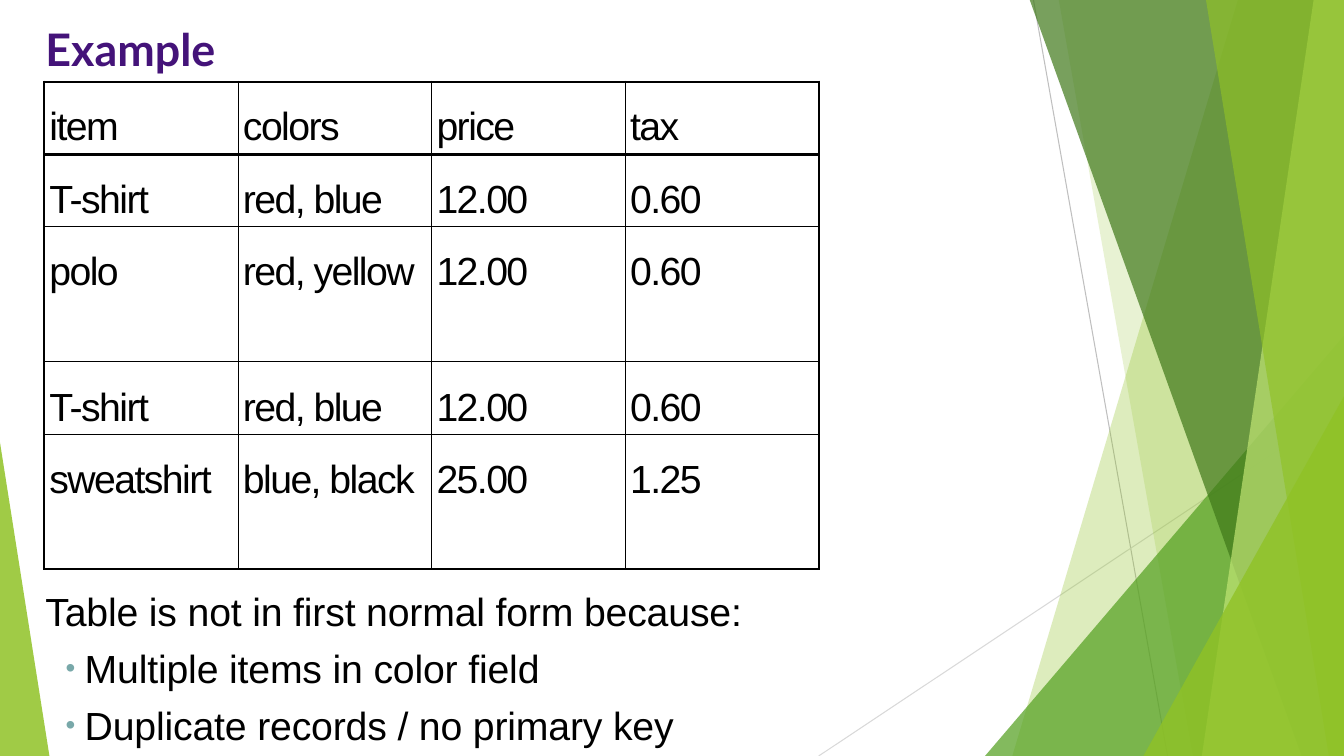
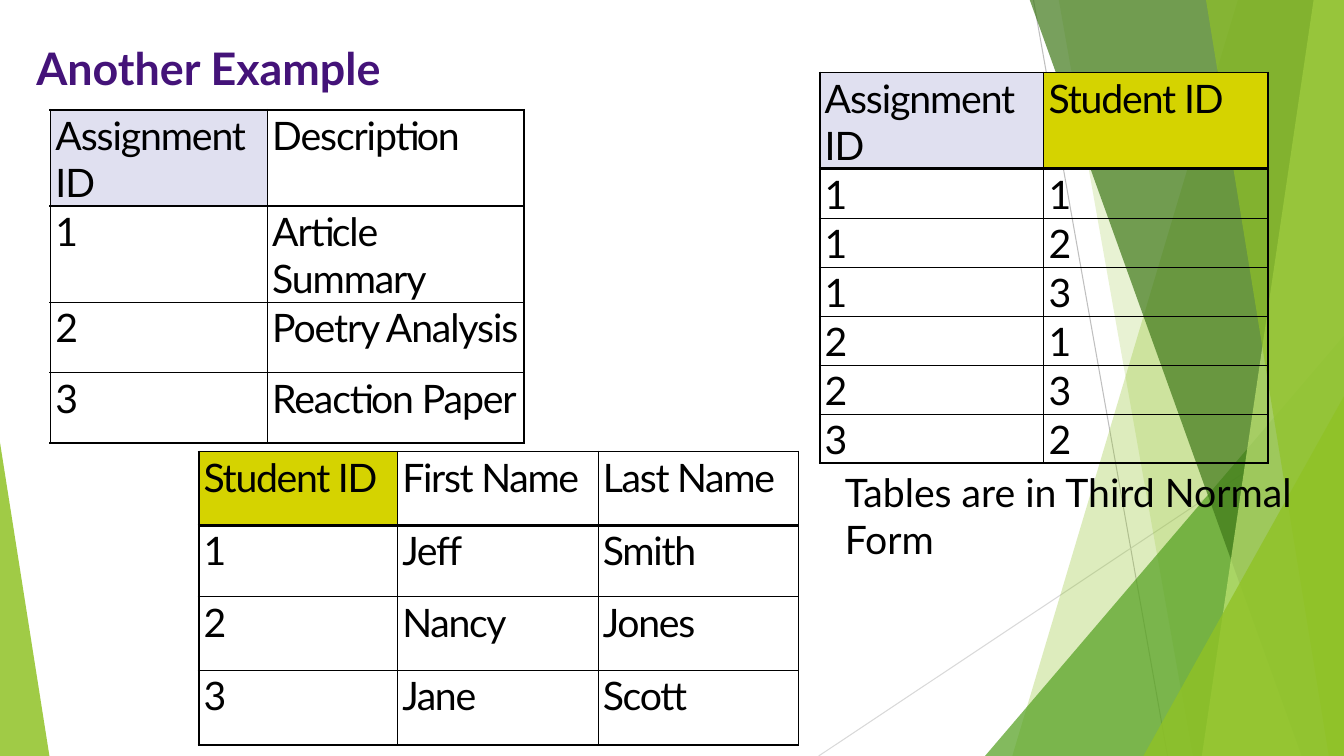
from dataclasses import dataclass

from lxml.etree import SubElement
from pptx import Presentation
from pptx.dml.color import RGBColor
from pptx.enum.shapes import MSO_CONNECTOR, MSO_SHAPE
from pptx.enum.text import MSO_ANCHOR, MSO_AUTO_SIZE, PP_ALIGN
from pptx.oxml.ns import qn
from pptx.util import Inches, Pt


@dataclass(frozen=True)
class Theme:
    width: float = 13.33
    height: float = 7.5
    heading: str = "Lato"
    plain: str = "Arial"
    title_size: int = 32
    text_size: int = 28
    title: str = "441379"
    text: str = "000000"
    bullet: str = "78A8A9"
    lime: str = "90C226"
    leaf: str = "54A021"
    forest: str = "3F7819"
    pale: str = "C0E474"
    thin: float = 0.5
    edge: float = 1.5
    header_rule: float = 2.25


T = Theme()
KEY_FILLS = {"Assignment ID": "E0E0F0", "Student ID": "D5D300"}


# Formatting helpers
def rgb(color):
    return RGBColor.from_string(color)


def apply(target, values):
    for name, value in values.items():
        setattr(target, name, value)


def write(p, text, font, size=T.text_size, color=T.text, bold=False, spacing=0):
    r = p.add_run()
    r.text = text
    apply(r.font, {"name": font, "size": Pt(size), "bold": bold})
    r.font.color.rgb = rgb(color)
    if spacing:
        r._r.get_or_add_rPr().set("spc", str(round(spacing * 100)))


def place(shape, left, top, width, height):
    apply(shape, {"left": Inches(left), "top": Inches(top),
                  "width": Inches(width), "height": Inches(height)})


def set_frame(tf, top_inset):
    apply(tf, {"word_wrap": True, "auto_size": MSO_AUTO_SIZE.NONE,
               "vertical_anchor": MSO_ANCHOR.TOP, "margin_left": 0,
               "margin_right": 0, "margin_bottom": 0,
               "margin_top": Inches(top_inset)})


def set_bullet(p, char=None, indent=0.0, hang=0.0):
    pPr = p._p.get_or_add_pPr()
    pPr.set("marL", str(Inches(indent)))
    pPr.set("indent", str(Inches(-hang)))
    if char is None:
        SubElement(pPr, qn("a:buNone"))
        return
    SubElement(SubElement(pPr, qn("a:buClr")), qn("a:srgbClr"), val=T.bullet)
    SubElement(pPr, qn("a:buSzPct"), val="71000")
    SubElement(pPr, qn("a:buFont"), typeface=T.plain)
    SubElement(pPr, qn("a:buChar"), char=char)


# Background facets
def paint(shape, color, opacity):
    shape.shadow.inherit = False
    shape.fill.solid()
    shape.fill.fore_color.rgb = rgb(color)
    shape.line.fill.background()
    clr = shape._element.spPr.find(qn("a:solidFill")).find(qn("a:srgbClr"))
    SubElement(clr, qn("a:alpha"), val=str(opacity * 1000))


def add_hairline(shapes, x1, y1, x2, y2, color):
    line = shapes.add_connector(MSO_CONNECTOR.STRAIGHT, Inches(x1), Inches(y1),
                                Inches(x2), Inches(y2))
    line.line.color.rgb = rgb(color)
    line.line.width = Pt(0.75)
    SubElement(line._element.spPr, qn("a:effectLst"))


def add_facet(shapes, top_x, bottom_x, color, opacity):
    """A panel reaching the right edge, slanted on its left side."""
    top, bottom, right = Inches(-0.01), Inches(T.height), Inches(T.width)
    builder = shapes.build_freeform(Inches(top_x), top)
    builder.add_line_segments([(right, top), (right, bottom),
                               (Inches(bottom_x), bottom)], close=True)
    paint(builder.convert_to_shape(), color, opacity)


def add_corner(shapes, left, width, height, apex, color, opacity):
    """A right triangle standing on the bottom edge."""
    corner = shapes.add_shape(MSO_SHAPE.ISOSCELES_TRIANGLE, Inches(left),
                              Inches(T.height - height), Inches(width), Inches(height))
    corner.adjustments[0] = apex
    paint(corner, color, opacity)


def move_to_master(prs, group):
    for number, props in enumerate(group._element.iter(qn("p:cNvPr")), 100):
        props.set("id", str(number))
    prs.slide_master.shapes._spTree.insert(2, group._element)


def add_background(prs, s):
    group = s.shapes.add_group_shape()
    shapes = group.shapes
    add_hairline(shapes, 10.25, 0, 11.58, T.height, "BFBFBF")
    add_hairline(shapes, T.width, 4.03, 8.12, T.height, "D9D9D9")
    add_facet(shapes, 12.28, 10.04, T.lime, 30)
    add_facet(shapes, 10.5, 11.83, T.lime, 20)
    add_corner(shapes, 9.77, 3.56, 4.17, 1, T.leaf, 72)
    add_facet(shapes, 10.21, 12.91, T.forest, 70)
    add_facet(shapes, 13.03, 11.92, T.pale, 70)
    add_facet(shapes, 11.96, 13.18, T.lime, 65)
    add_corner(shapes, 11.34, 1.99, 3.57, 1, T.lime, 80)
    add_corner(shapes, 0, 0.49, 3.11, 0, T.lime, 85)
    move_to_master(prs, group)


# Slide content
def add_title(s, text, left, top, width):
    title = s.shapes.title
    place(title, left, top, width, 0.55)
    set_frame(title.text_frame, 0.01)
    p = title.text_frame.paragraphs[0]
    p.alignment = PP_ALIGN.LEFT
    write(p, text, T.heading, T.title_size, T.title, bold=True)


def add_list(s, lead, items, left, top, width, height):
    body = s.placeholders[1]
    place(body, left, top, width, height)
    tf = body.text_frame
    set_frame(tf, 0.12)
    p = tf.paragraphs[0]
    set_bullet(p)
    p.space_before = Pt(0)
    write(p, lead, T.plain, spacing=-0.1)
    for item in items:
        p = tf.add_paragraph()
        set_bullet(p, "•", 0.39, 0.19)
        p.space_before = Pt(7)
        write(p, item, T.plain, spacing=-0.1)


def add_note(s, text, left, top, width, height):
    tf = s.shapes.add_textbox(Inches(left), Inches(top), Inches(width),
                              Inches(height)).text_frame
    tf.word_wrap = True
    write(tf.paragraphs[0], text, T.heading)


def set_borders(cell, row, col, last_row, last_col):
    widths = {
        "lnL": T.edge if col == 0 else T.thin,
        "lnR": T.edge if col == last_col else T.thin,
        "lnT": {0: T.edge, 1: T.header_rule}.get(row, T.thin),
        "lnB": T.header_rule if row == 0 else T.edge if row == last_row else T.thin,
    }
    tcPr = cell._tc.get_or_add_tcPr()
    for side, width in widths.items():
        ln = SubElement(tcPr, qn(f"a:{side}"), w=str(Pt(width)))
        SubElement(SubElement(ln, qn("a:solidFill")), qn("a:srgbClr"), val=T.text)


def add_grid(s, rows, left, top, widths, heights, font=T.heading,
             spacing=-0.8, line_spacing=1.0):
    frame = s.shapes.add_table(len(rows), len(widths), Inches(left), Inches(top),
                               Inches(sum(widths)), Inches(sum(heights)))
    table = frame.table
    apply(table, {"first_row": False, "horz_banding": False})
    for col, width in zip(table.columns, widths):
        col.width = Inches(width)
    for r, (values, height) in enumerate(zip(rows, heights)):
        table.rows[r].height = Inches(height)
        for c, value in enumerate(values):
            cell = table.cell(r, c)
            apply(cell, {"margin_left": Inches(0.05), "margin_right": 0,
                         "margin_top": Inches(0.02), "margin_bottom": 0,
                         "vertical_anchor": MSO_ANCHOR.TOP})
            set_borders(cell, r, c, len(rows) - 1, len(values) - 1)
            if value in KEY_FILLS:
                cell.fill.solid()
                cell.fill.fore_color.rgb = rgb(KEY_FILLS[value])
            else:
                cell.fill.background()
            p = cell.text_frame.paragraphs[0]
            p.line_spacing = line_spacing
            write(p, value, font, spacing=spacing)


# Slides
def build_example(s):
    add_title(s, "Example", 0.45, 0.21, 2.14)
    add_grid(s, [
        ("item", "colors", "price", "tax"),
        ("T-shirt", "red, blue", "12.00", "0.60"),
        ("polo", "red, yellow", "12.00", "0.60"),
        ("T-shirt", "red, blue", "12.00", "0.60"),
        ("sweatshirt", "blue, black", "25.00", "1.25"),
    ], 0.44, 0.81, [1.92] * 4, [0.72, 0.72, 1.34, 0.72, 1.34],
        font=T.plain, spacing=-1.1, line_spacing=1.5)
    add_list(s, "Table is not in first normal form because:",
             ["Multiple items in color field", "Duplicate records / no primary key"],
             0.45, 5.71, 11.22, 1.73)


def build_another_example(s):
    add_title(s, "Another Example", 0.36, 0.39, 3.81)
    add_grid(s, [
        ("Assignment ID", "Description"),
        ("1", "Article Summary"),
        ("2", "Poetry Analysis"),
        ("3", "Reaction Paper"),
    ], 0.5, 1.09, [2.15, 2.55], [0.7] * 4)
    add_grid(s, [
        ("Student ID", "First Name", "Last Name"),
        ("1", "Jeff", "Smith"),
        ("2", "Nancy", "Jones"),
        ("3", "Jane", "Scott"),
    ], 1.97, 4.48, [1.97, 1.99, 1.99], [0.73, 0.71, 0.73, 0.74], spacing=-0.9)
    pairs = ["11", "12", "13", "21", "23", "32"]
    add_grid(s, [("Assignment ID", "Student ID"), *pairs],
             8.13, 0.72, [2.22, 2.23], [0.46] * 7)
    add_note(s, "Tables are in Third Normal Form", 8.28, 4.6, 4.78, 1.04)


def main():
    prs = Presentation()
    apply(prs, {"slide_width": Inches(T.width), "slide_height": Inches(T.height)})
    content, title_only = prs.slide_layouts[1], prs.slide_layouts[5]
    s = prs.slides.add_slide(content)
    add_background(prs, s)
    build_example(s)
    build_another_example(prs.slides.add_slide(title_only))
    prs.save("out.pptx")


if __name__ == "__main__":
    main()
